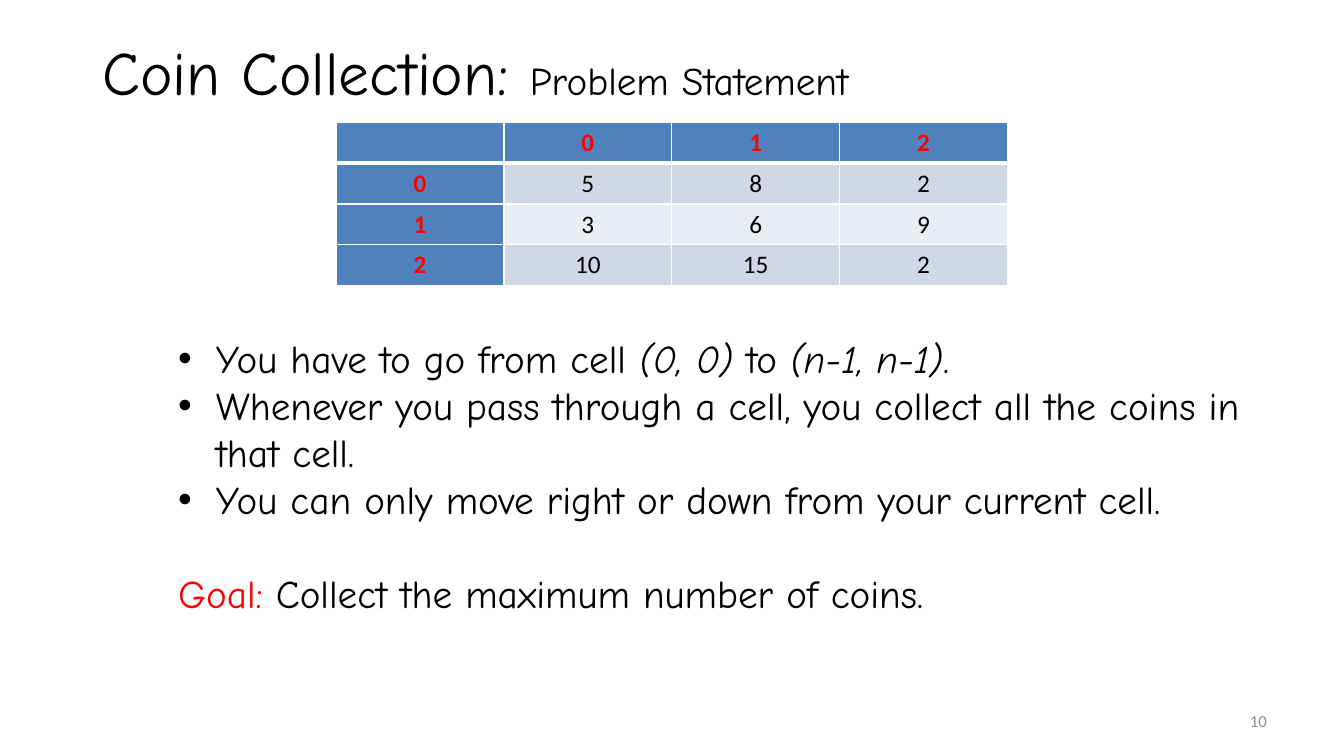
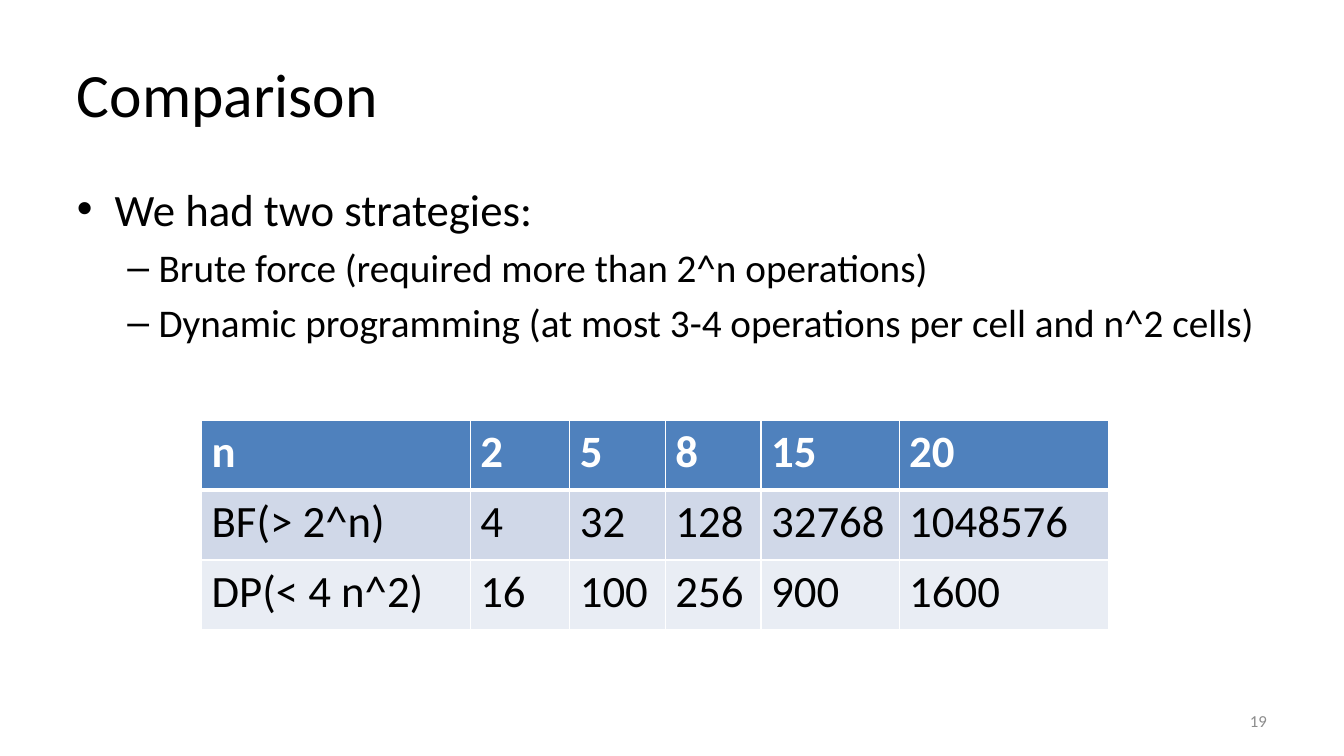
from lxml.etree import SubElement
from pptx import Presentation
from pptx.dml.color import RGBColor
from pptx.enum.text import MSO_ANCHOR, PP_ALIGN
from pptx.oxml.ns import qn
from pptx.util import Cm, Pt

BLACK = RGBColor(0x00, 0x00, 0x00)
WHITE = RGBColor(0xFF, 0xFF, 0xFF)
RED = RGBColor(0xFF, 0x00, 0x00)
GREY = RGBColor(0x8C, 0x8C, 0x8C)
BLUE = RGBColor(0x4F, 0x81, 0xBD)
BANDS = (RGBColor(0xD0, 0xD8, 0xE8), RGBColor(0xE9, 0xED, 0xF4))
PLAIN_FONT = "Calibri"
COMIC_FONT = "Comic Neue"


def add_text(paragraph, text, size=28, font=PLAIN_FONT, color=BLACK,
             bold=False, italic=False):
    run = paragraph.add_run()
    run.text = text
    run.font.size = Pt(size)
    run.font.name = font
    run.font.color.rgb = color
    run.font.bold = bold
    run.font.italic = italic


def set_bullet(paragraph, character, left, hanging):
    properties = paragraph._p.get_or_add_pPr()
    properties.set("marL", str(Cm(left)))
    properties.set("indent", str(-Cm(hanging)))
    SubElement(properties, qn("a:buFont"), typeface="Arial")
    SubElement(properties, qn("a:buChar"), char=character)


def set_borders(cell, bottom_width):
    properties = cell._tc.get_or_add_tcPr()
    widths = {"a:lnL": 1, "a:lnR": 1, "a:lnT": 1, "a:lnB": bottom_width}
    for position, (tag, width) in enumerate(widths.items()):
        line = SubElement(properties, qn(tag), w=str(Pt(width)))
        fill = SubElement(line, qn("a:solidFill"))
        SubElement(fill, qn("a:srgbClr"), val=str(WHITE))
        properties.insert(position, line)


class Deck:
    """Holds the shared style and the slide being built."""

    def __init__(self):
        self.presentation = Presentation()
        self.presentation.slide_width = Cm(33.87)
        self.presentation.slide_height = Cm(19.05)
        self.slide = None

    def add_slide(self, number):
        layout = self.presentation.slide_layouts[6]
        self.slide = self.presentation.slides.add_slide(layout)
        self.text_box((24.28, 17.65, 7.9, 1.02),
                      [dict(runs=[(number, dict(size=12, color=GREY))],
                            align=PP_ALIGN.RIGHT)], anchor=MSO_ANCHOR.MIDDLE)

    def text_box(self, box, paragraphs, anchor=MSO_ANCHOR.TOP, **style):
        shape = self.slide.shapes.add_textbox(*map(Cm, box))
        frame = shape.text_frame
        frame.word_wrap = True
        frame.vertical_anchor = anchor
        for index, content in enumerate(paragraphs):
            paragraph = frame.add_paragraph() if index else frame.paragraphs[0]
            paragraph.alignment = content.get("align", PP_ALIGN.LEFT)
            paragraph.level = content.get("level", 0)
            paragraph.space_before = Pt(content.get("before", 0))
            if "bullet" in content:
                set_bullet(paragraph, *content["bullet"])
            for text, changes in content["runs"]:
                add_text(paragraph, text, **{**style, **changes})

    def title(self, box, runs, align=PP_ALIGN.LEFT, font=PLAIN_FONT):
        self.text_box(box, [dict(runs=runs, align=align)],
                      anchor=MSO_ANCHOR.MIDDLE, size=44, font=font)

    def table(self, left, top, column_widths, row_height, rows, size,
              header_color, header_column=False, align=PP_ALIGN.LEFT,
              anchor=MSO_ANCHOR.TOP):
        frame = self.slide.shapes.add_table(
            len(rows), len(column_widths), Cm(left), Cm(top),
            Cm(sum(column_widths)), Cm(row_height * len(rows)))
        table = frame.table
        table.first_row = table.horz_banding = False
        for column, width in zip(table.columns, column_widths):
            column.width = Cm(width)
        for row_index, row in enumerate(rows):
            for column_index, text in enumerate(row):
                cell = table.cell(row_index, column_index)
                is_header = row_index == 0 or (header_column and column_index == 0)
                cell.fill.solid()
                cell.fill.fore_color.rgb = (
                    BLUE if is_header else BANDS[(row_index - 1) % 2])
                set_borders(cell, bottom_width=1 if row_index else 3)
                cell.vertical_anchor = anchor
                paragraph = cell.text_frame.paragraphs[0]
                paragraph.alignment = align
                add_text(paragraph, text, size=size, bold=is_header,
                         color=header_color if is_header else BLACK)


deck = Deck()

# Problem statement
deck.add_slide("10")
deck.title((0.08, 0.48, 23.8, 2.59),
           [("Coin Collection: ", {}), ("Problem Statement", dict(size=28))],
           align=PP_ALIGN.CENTER, font=COMIC_FONT)
deck.table(8.47, 3.08, [4.23] * 4, 1.03,
           [["", "0", "1", "2"],
            ["0", "5", "8", "2"],
            ["1", "3", "6", "9"],
            ["2", "10", "15", "2"]],
           size=18, header_color=RED, header_column=True,
           align=PP_ALIGN.CENTER, anchor=MSO_ANCHOR.MIDDLE)
italic = dict(italic=True)
rules = [
    [("You have to go from cell ", {}), ("(0, 0) ", italic), ("to ", {}),
     ("(n-1, n-1)", italic), (".", {})],
    [("Whenever you pass through a cell, you collect all the coins in that cell.", {})],
    [("You can only move right or down from your current cell.", {})],
]
goal = [("Goal: ", dict(color=RED)), ("Collect the maximum number of coins.", {})]
deck.text_box((4.24, 8.3, 27.28, 7.44),
              [dict(runs=runs, bullet=("•", 0.95, 0.95)) for runs in rules]
              + [dict(runs=goal, before=33.5)],
              font=COMIC_FONT)

# Comparison of the strategies
deck.add_slide("19")
deck.title((1.69, 0.76, 30.48, 3.18), [("Comparison", {})])
strategies = ["Brute force (required more than 2^n operations)",
              "Dynamic programming (at most 3-4 operations per cell and n^2 cells)"]
deck.text_box((1.69, 4.45, 30.48, 12.57),
              [dict(runs=[("We had two strategies:", dict(size=32))],
                    bullet=("•", 0.95, 0.95), before=6.4)]
              + [dict(runs=[(text, {})], level=1, bullet=("–", 2.06, 0.79),
                      before=5.6) for text in strategies])
deck.table(5.08, 10.59, [6.77, 2.51, 2.41, 2.41, 3.48, 5.28], 1.76,
           [["n", "2", "5", "8", "15", "20"],
            ["BF(> 2^n)", "4", "32", "128", "32768", "1048576"],
            ["DP(< 4 n^2)", "16", "100", "256", "900", "1600"]],
           size=32, header_color=WHITE)

deck.presentation.save("out.pptx")
